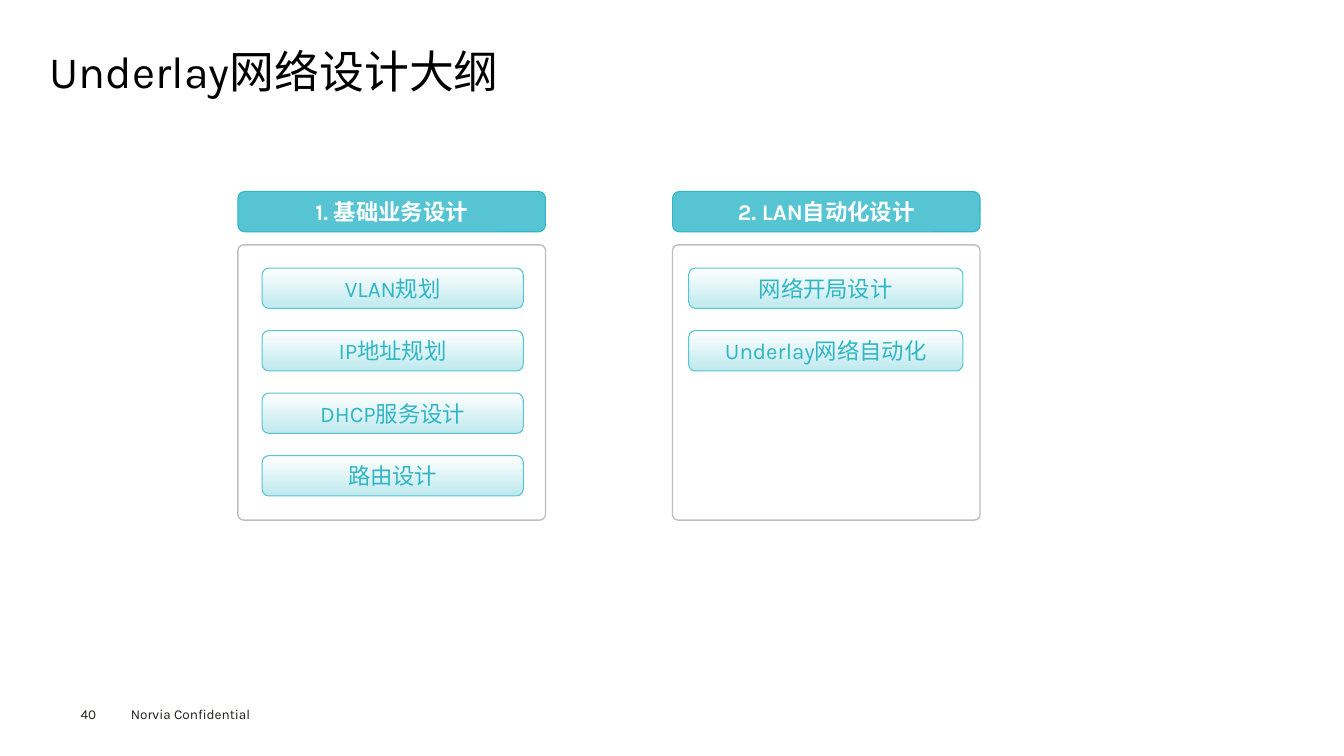
from pptx import Presentation
from pptx.dml import color
from pptx.enum import shapes, text
from pptx.util import Inches, Pt

TEAL, DARK_TEAL, PALE_TEAL = "56C4D2", "30B5C5", "BEE9EE"
WHITE, BLACK, GREY, INK = "FFFFFF", "000000", "BFBFBF", "1D1D1B"


def rgb(value):
    return color.RGBColor.from_string(value)


class OutlineSlide:
    font_name = "Karla"

    def __init__(self, deck):
        self.slide = deck.slides.add_slide(deck.slide_layouts[5])

    def set_text(self, frame, wording, size, ink, bold=False, align=text.PP_ALIGN.LEFT,
                 **frame_format):
        """Fill a text frame with one formatted paragraph."""
        for name, value in {"word_wrap": True, **frame_format}.items():
            setattr(frame, name, value)
        paragraph = frame.paragraphs[0]
        paragraph.text = wording
        paragraph.alignment = align
        font = paragraph.runs[0].font
        for name, value in {"name": self.font_name, "size": Pt(size), "bold": bold}.items():
            setattr(font, name, value)
        font.color.rgb = rgb(ink)
        return paragraph

    def title(self, wording, left, top, width, height):
        heading = self.slide.shapes.title
        place = {"left": left, "top": top, "width": width, "height": height}
        for name, value in place.items():
            setattr(heading, name, Inches(value))
        paragraph = self.set_text(
            heading.text_frame, wording, 32, BLACK, vertical_anchor=text.MSO_ANCHOR.TOP,
            auto_size=text.MSO_AUTO_SIZE.NONE, margin_left=0, margin_top=0,
            margin_right=0, margin_bottom=0)
        paragraph.line_spacing = 0.9

    def footer(self, wording, left, top, width, height, **margins):
        note = self.slide.shapes.add_textbox(*map(Inches, (left, top, width, height)))
        self.set_text(note.text_frame, wording, 9.7, INK,
                      auto_size=text.MSO_AUTO_SIZE.SHAPE_TO_FIT_TEXT, **margins)

    def rounded(self, left, top, width, height, fills, line, weight):
        """Draw a rounded box with no fill, one colour or a downward gradient."""
        box = self.slide.shapes.add_shape(
            shapes.MSO_SHAPE.ROUNDED_RECTANGLE, *map(Inches, (left, top, width, height)))
        box.shadow.inherit = False
        if not fills:
            box.fill.background()
        elif len(fills) == 1:
            box.fill.solid()
            box.fill.fore_color.rgb = rgb(fills[0])
        else:
            box.fill.gradient()
            box.fill.gradient_angle = 270
            for stop, shade in zip(box.fill.gradient_stops, fills):
                stop.color.rgb = rgb(shade)
        box.line.color.rgb = rgb(line)
        box.line.width = Pt(weight)
        return box

    def label(self, wording, left, top, width, fills, line, ink, bold=False):
        bar = self.rounded(left, top, width, 0.4, fills, line, 0.75)
        self.set_text(bar.text_frame, wording, 16, ink, bold, text.PP_ALIGN.CENTER,
                      vertical_anchor=text.MSO_ANCHOR.MIDDLE)

    def section(self, heading, left, topics, topic_left, topic_width):
        """Draw a heading bar above a frame of stacked topics."""
        self.label(heading, left, 1.9, 3.05, [TEAL], DARK_TEAL, WHITE, True)
        frame = self.rounded(left, 2.43, 3.05, 2.73, [], GREY, 1)
        frame.adjustments[0] = 0.02
        for row, topic in enumerate(topics):
            self.label(topic, topic_left, 2.66 + row * 0.62, topic_width,
                       [WHITE, PALE_TEAL], TEAL, DARK_TEAL)


def main():
    deck = Presentation()
    deck.slide_width, deck.slide_height = Inches(13.33), Inches(7.5)
    outline = OutlineSlide(deck)
    outline.footer("Norvia Confidential", 1.2, 6.95, 1.6, 0.27)
    outline.footer("40", 0.8, 7, 0.55, 0.16, margin_left=0, margin_top=0,
                   margin_right=0, margin_bottom=0)
    outline.title("Underlay网络设计大纲", 0.49, 0.49, 12.35, 0.54)
    outline.section("1. 基础业务设计", 2.36,
                    ["VLAN规划", "IP地址规划", "DHCP服务设计", "路由设计"], 2.6, 2.59)
    outline.section("2. LAN自动化设计", 6.67,
                    ["网络开局设计", "Underlay网络自动化"], 6.83, 2.72)
    deck.save("out.pptx")


if __name__ == "__main__":
    main()
